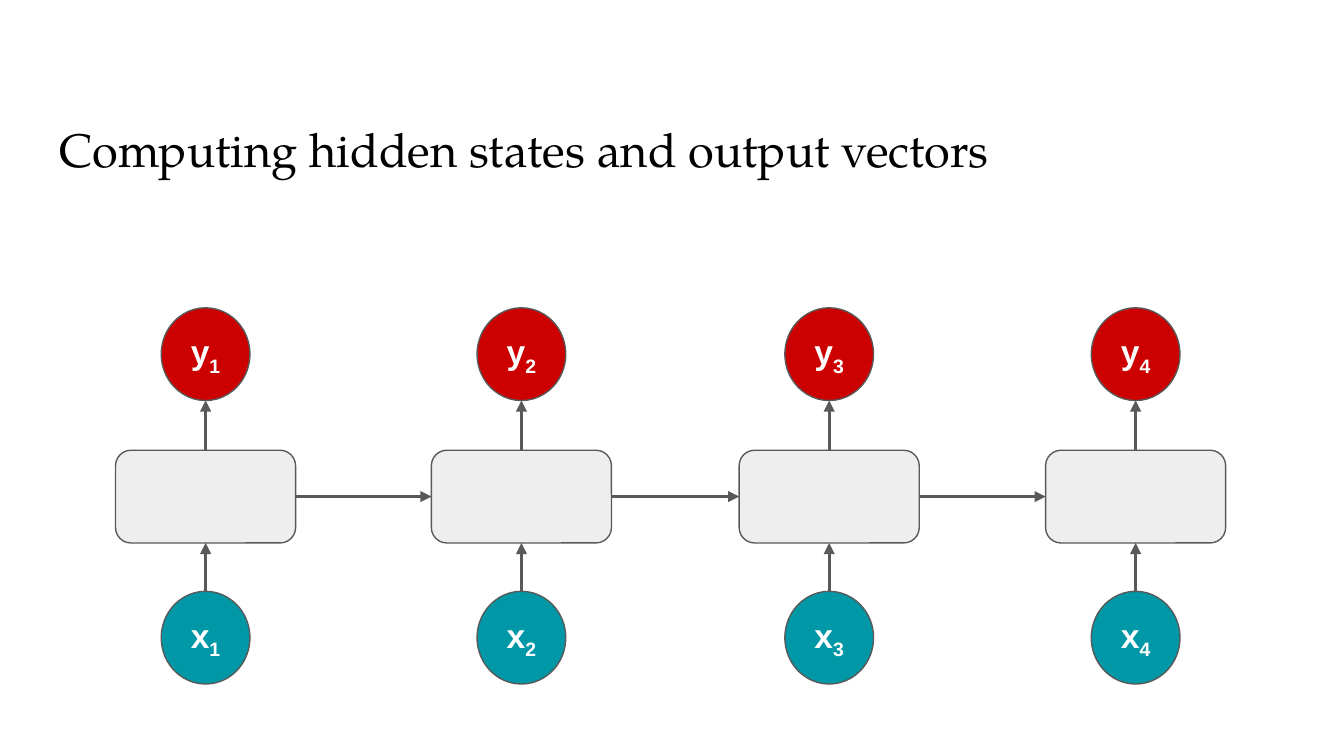
from dataclasses import dataclass

from lxml import etree
from pptx import Presentation
from pptx.dml.color import RGBColor
from pptx.enum.shapes import MSO_CONNECTOR, MSO_SHAPE
from pptx.enum.text import MSO_ANCHOR, MSO_AUTO_SIZE, PP_ALIGN
from pptx.oxml.ns import qn
from pptx.util import Inches, Pt

STRAIGHT = MSO_CONNECTOR.STRAIGHT
OVAL = MSO_SHAPE.OVAL
ROUNDED = MSO_SHAPE.ROUNDED_RECTANGLE
TOP, MIDDLE = MSO_ANCHOR.TOP, MSO_ANCHOR.MIDDLE
LEFT, CENTER = PP_ALIGN.LEFT, PP_ALIGN.CENTER
NO_FIT = MSO_AUTO_SIZE.NONE

GRAY = "595959"
CENTERS = (1.53, 3.88, 6.17, 8.45)
CELL_W = 1.34
NODE_W = 0.66
HEIGHT = 0.69


@dataclass(frozen=True)
class Row:
    top: float
    width: float
    shape: MSO_SHAPE
    fill: str
    label: str = ""

    @property
    def bottom(self) -> float:
        return self.top + HEIGHT


OUTPUT = Row(2.29, NODE_W, OVAL, "CC0000", "y")
HIDDEN = Row(3.35, CELL_W, ROUNDED, "EEEEEE")
INPUT = Row(4.4, NODE_W, OVAL, "0097A7", "x")


def rgb(color: str) -> RGBColor:
    return RGBColor.from_string(color)


def set_margins(tf) -> None:
    tf.margin_left = tf.margin_right = Inches(0.1)
    tf.margin_top = tf.margin_bottom = Inches(0.1)


def add_title(slide, text: str) -> None:
    sp = slide.shapes.title
    sp.left, sp.top = Inches(0.34), Inches(0.8)
    sp.width, sp.height = Inches(9.32), Inches(0.63)
    tf = sp.text_frame
    tf.text = text
    tf.auto_size = NO_FIT
    tf.vertical_anchor = TOP
    set_margins(tf)
    p = tf.paragraphs[0]
    p.alignment = LEFT
    font = p.runs[0].font
    font.name = "TeX Gyre Pagella"
    font.size = Pt(25.2)
    font.color.rgb = rgb("000000")


def add_label(sp, letter: str, step: int) -> None:
    tf = sp.text_frame
    tf.vertical_anchor = MIDDLE
    set_margins(tf)
    p = tf.paragraphs[0]
    p.alignment = CENTER
    for text in (letter, str(step)):
        r = p.add_run()
        r.text = text
        r.font.name = "Arial"
        r.font.size = Pt(18)
        r.font.bold = True
        r.font.color.rgb = rgb("FFFFFF")
    r.font._element.set("baseline", "-25000")


def add_node(slide, row: Row, center: float, step: int) -> None:
    sp = slide.shapes.add_shape(
        row.shape, Inches(center - row.width / 2), Inches(row.top),
        Inches(row.width), Inches(HEIGHT))
    sp.shadow.inherit = False
    sp.fill.solid()
    sp.fill.fore_color.rgb = rgb(row.fill)
    sp.line.color.rgb = rgb(GRAY)
    sp.line.width = Pt(0.75)
    if row.label:
        add_label(sp, row.label, step)


def add_arrow(slide, x1: float, y1: float, x2: float, y2: float) -> None:
    line = slide.shapes.add_connector(
        STRAIGHT, Inches(x1), Inches(y1), Inches(x2), Inches(y2))
    line.line.color.rgb = rgb(GRAY)
    line.line.width = Pt(1.5)
    etree.SubElement(line.line._get_or_add_ln(), qn("a:tailEnd"), type="triangle")
    etree.SubElement(line._element.spPr, qn("a:effectLst"))


def main() -> None:
    prs = Presentation()
    prs.slide_width = Inches(10)
    prs.slide_height = Inches(10 * 9 / 16)
    slide = prs.slides.add_slide(prs.slide_layouts[5])
    add_title(slide, "Computing hidden states and output vectors")

    for step, center in enumerate(CENTERS, 1):
        for row in (INPUT, OUTPUT, HIDDEN):
            add_node(slide, row, center, step)
        for lower, upper in ((INPUT, HIDDEN), (HIDDEN, OUTPUT)):
            add_arrow(slide, center, lower.top, center, upper.bottom)

    middle = HIDDEN.top + HEIGHT / 2
    for start, end in zip(CENTERS, CENTERS[1:]):
        add_arrow(slide, start + CELL_W / 2, middle, end - CELL_W / 2, middle)

    prs.save("out.pptx")


if __name__ == "__main__":
    main()
